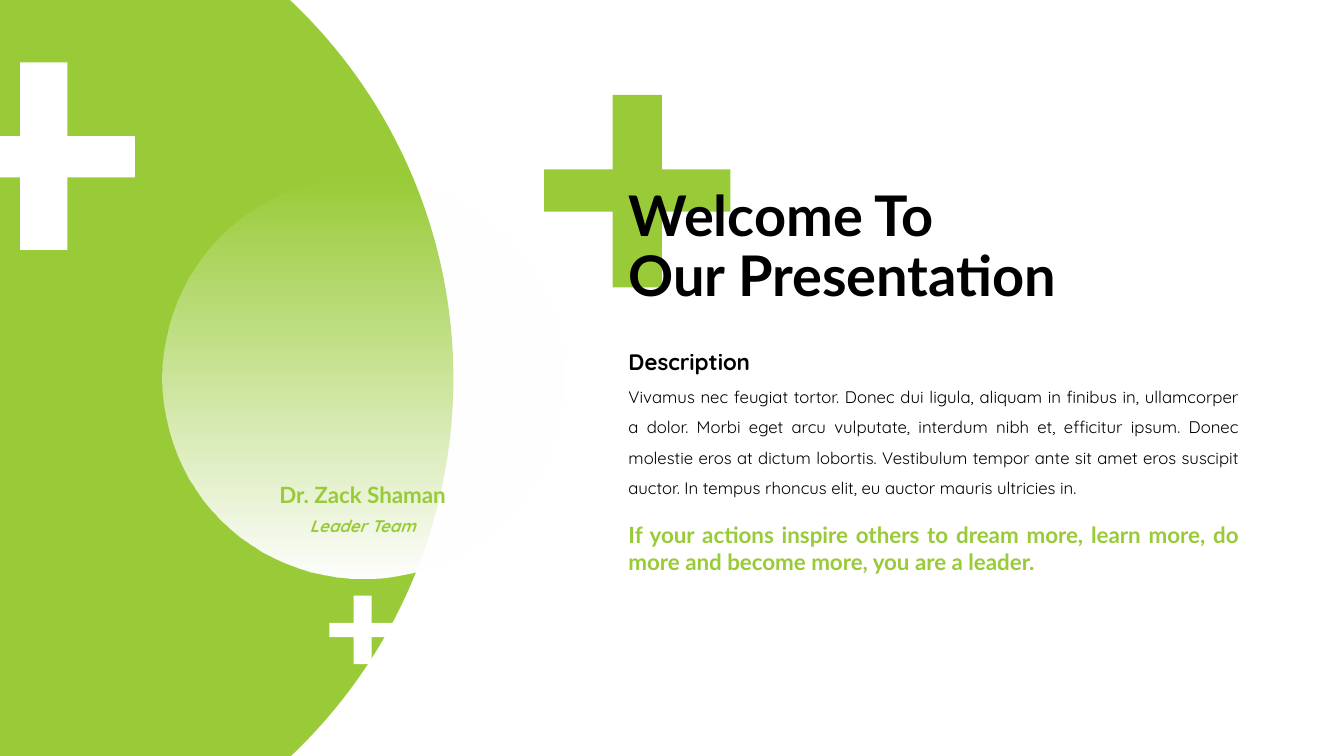
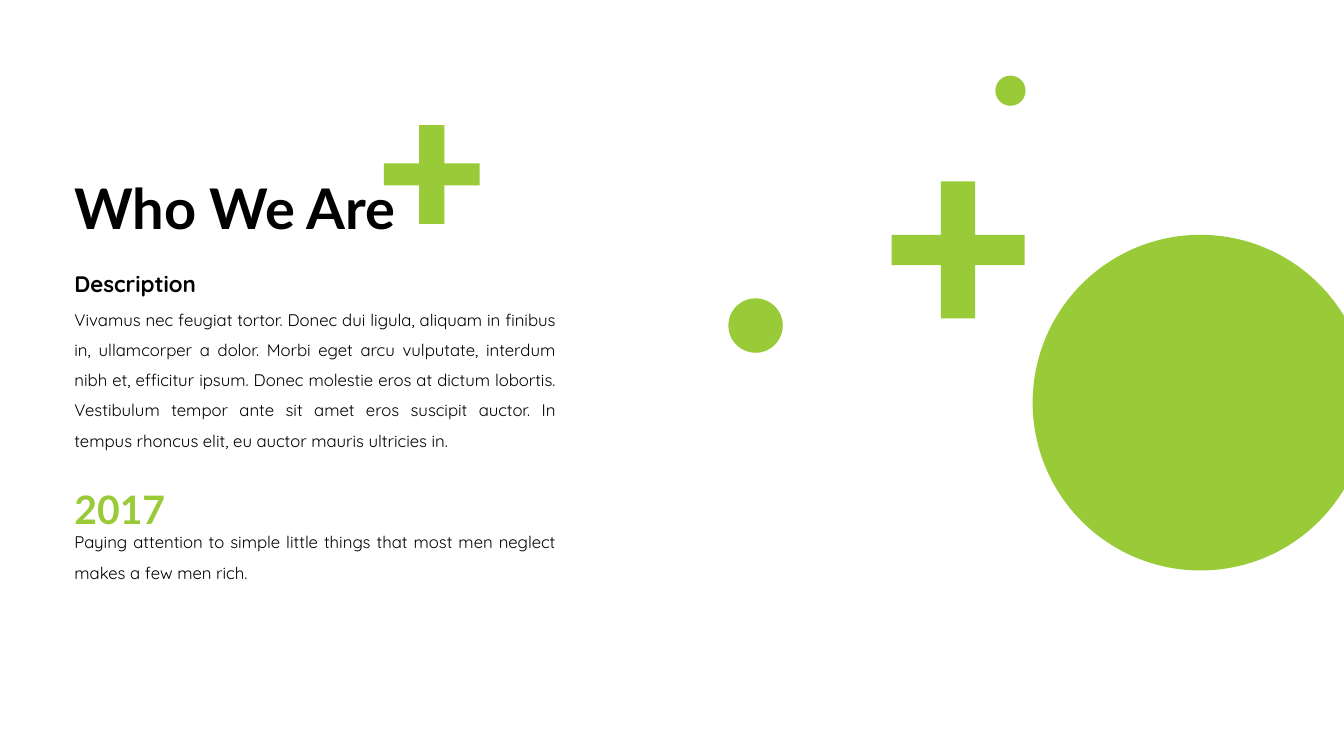
from dataclasses import dataclass

from lxml.etree import SubElement
from pptx import Presentation
from pptx.dml.color import RGBColor
from pptx.enum.shapes import MSO_SHAPE
from pptx.enum.text import MSO_ANCHOR, MSO_AUTO_SIZE, PP_ALIGN
from pptx.oxml.ns import qn
from pptx.util import Pt

PX = 9144
WIDE, HIGH = 1334, 750
TITLE_ONLY = 5


@dataclass(frozen=True)
class Style:
    font: str
    size: int
    color: RGBColor
    bold: bool = True
    slant: bool = False
    lead: float = 1.5
    align: PP_ALIGN = PP_ALIGN.JUSTIFY


class Theme:
    green = RGBColor(0x99, 0xCB, 0x38)
    white = RGBColor(0xFF, 0xFF, 0xFF)
    black = RGBColor(0, 0, 0)
    title = Style("Lato", 40, black, lead=0.9, align=PP_ALIGN.LEFT)
    head = Style("Quicksand", 16, black)
    body = Style("Quicksand", 12, black, bold=False)
    quote = Style("Lato", 16, green, lead=1.0)
    year = Style("Lato", 28, green)
    name = Style("Lato", 16, green, align=PP_ALIGN.CENTER)
    role = Style("Quicksand", 12, green, slant=True, align=PP_ALIGN.CENTER)


BODY = (
    "Vivamus nec feugiat tortor. Donec dui ligula, aliquam in finibus in, "
    "ullamcorper a dolor. Morbi eget arcu vulputate, interdum nibh et, "
    "efficitur ipsum. Donec molestie eros at dictum lobortis. Vestibulum "
    "tempor ante sit amet eros suscipit auctor. In tempus rhoncus elit, "
    "eu auctor mauris ultricies in."
)


def fill_text(frame, text, style):
    frame.word_wrap = True
    frame.text = text
    for para in frame.paragraphs:
        para.alignment = style.align
        para.line_spacing = style.lead
        for run in para.runs:
            font = run.font
            font.name = style.font
            font.size = Pt(style.size)
            font.bold = style.bold
            font.italic = style.slant
            font.color.rgb = style.color


def add_text(slide, x, y, w, h, text, style):
    box = slide.shapes.add_textbox(x * PX, y * PX, w * PX, h * PX)
    fill_text(box.text_frame, text, style)
    box.text_frame.auto_size = MSO_AUTO_SIZE.SHAPE_TO_FIT_TEXT


def add_title(slide, x, y, w, h, text):
    title = slide.shapes.title
    title.left, title.top = x * PX, y * PX
    title.width, title.height = w * PX, h * PX
    fill_text(title.text_frame, text, Theme.title)
    title.text_frame.auto_size = MSO_AUTO_SIZE.NONE
    title.text_frame.vertical_anchor = MSO_ANCHOR.MIDDLE
    slide.shapes.element.append(title.element)


def add_about(slide, x, y, w, h):
    add_text(slide, x, y, 296, 50, "Description", Theme.head)
    add_text(slide, x, y + 42, w, h, BODY, Theme.body)


def paint(shape, color):
    shape.fill.solid()
    shape.fill.fore_color.rgb = color
    shape.line.fill.background()
    shape.shadow.inherit = False


def add_disc(slide, x, y, size, color=Theme.green):
    disc = slide.shapes.add_shape(
        MSO_SHAPE.OVAL, x * PX, y * PX, size * PX, size * PX)
    paint(disc, color)
    return disc


def add_fade(slide, x, y, size):
    disc = add_disc(slide, x, y, size, Theme.white)
    disc.fill.gradient()
    disc.fill.gradient_angle = 270
    for stop in disc.fill.gradient_stops:
        stop.color.rgb = Theme.white
    first = next(disc.element.iter(qn("a:srgbClr")))
    SubElement(first, qn("a:alpha")).set("val", "0")


def add_plus(slide, x, y, w, color=Theme.green):
    h = w * 1.03
    x1, x2, x3, x4 = (round(x + w * part) for part in (0, 0.37, 0.63, 1))
    y1, y2, y3, y4 = (round(y + h * part) for part in (0, 0.39, 0.61, 1))
    pen = slide.shapes.build_freeform(x2, y1, scale=PX)
    pen.add_line_segments([
        (x3, y1), (x3, y2), (x4, y2), (x4, y3), (x3, y3), (x3, y4),
        (x2, y4), (x2, y3), (x1, y3), (x1, y2), (x2, y2)])
    paint(pen.convert_to_shape(), color)


def build_welcome(slide):
    add_disc(slide, -581, -140, 1031)
    add_plus(slide, 540, 94, 185)
    add_about(slide, 614, 327, 626, 130)
    add_text(slide, 614, 512, 626, 64,
             "If your actions inspire others to dream more, learn more, "
             "do more and become more, you are a leader.", Theme.quote)
    add_plus(slide, -47, 62, 181, Theme.white)
    add_title(slide, 614, 174, 486, 145, "Welcome To\vOur Presentation")
    add_fade(slide, 161, 176, 398)
    add_text(slide, 232, 459, 256, 50, "Dr. Zack Shaman", Theme.name)
    add_text(slide, 232, 497, 256, 40, "Leader Team", Theme.role)
    add_plus(slide, 327, 591, 66, Theme.white)


def build_about(slide):
    add_disc(slide, 1025, 233, 333)
    add_about(slide, 64, 250, 498, 160)
    add_text(slide, 64, 453, 136, 80, "2017", Theme.year)
    add_text(slide, 64, 513, 498, 70,
             "Paying attention to simple little things that most men "
             "neglect makes a few men rich.", Theme.body)
    add_plus(slide, 381, 124, 95)
    add_title(slide, 64, 137, 509, 145, "Who We Are")
    add_plus(slide, 885, 180, 132)
    add_disc(slide, 723, 296, 54)
    add_disc(slide, 988, 75, 30)


def main():
    deck = Presentation()
    deck.slide_width, deck.slide_height = WIDE * PX, HIGH * PX
    for build in (build_welcome, build_about):
        build(deck.slides.add_slide(deck.slide_layouts[TITLE_ONLY]))
    deck.save("out.pptx")


if __name__ == "__main__":
    main()
